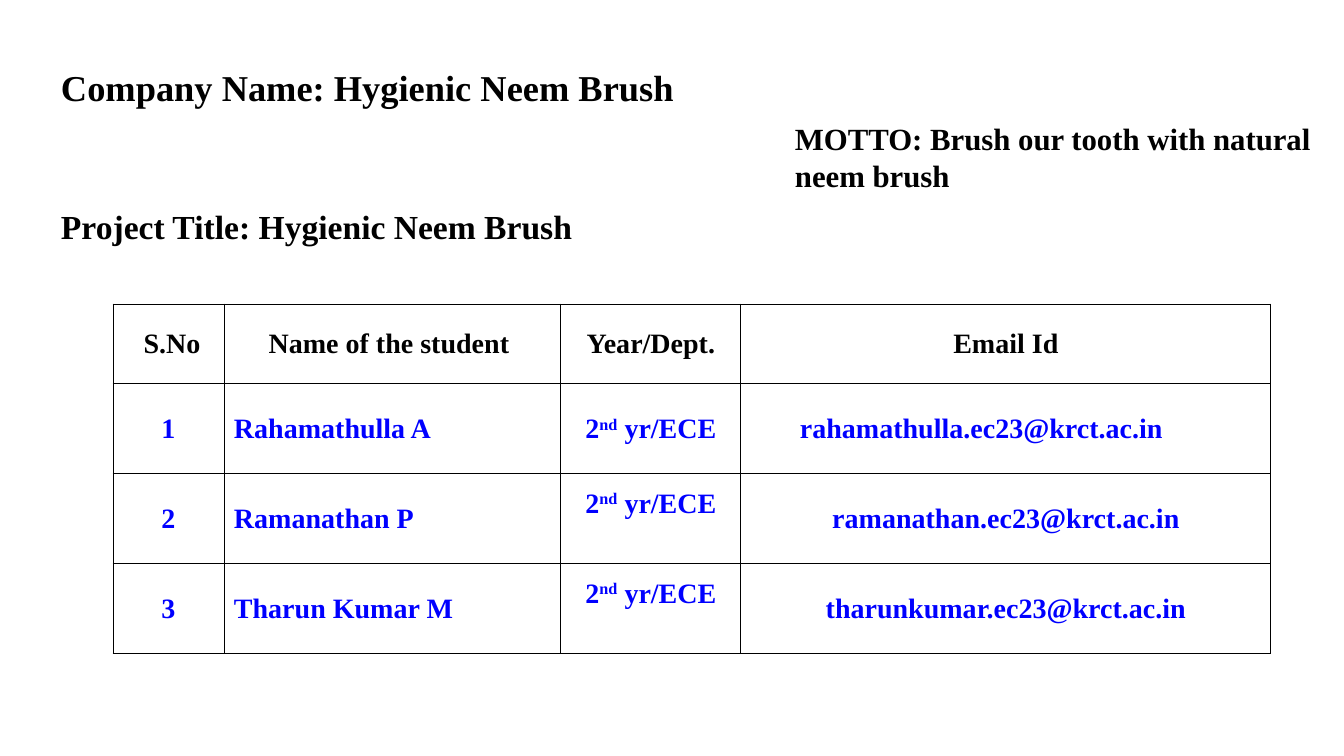
from dataclasses import dataclass

from lxml import etree
from pptx import Presentation
from pptx import util as u
from pptx.dml.color import RGBColor
from pptx.enum import text as t
from pptx.oxml import ns


@dataclass(frozen=True)
class Theme:
    font: str = "Times New Roman"
    ink: str = "000000"
    entry: str = "0000FF"
    company_size: int = 26
    project_size: int = 24
    motto_size: int = 22
    table_size: int = 20
    border_width: float = 0.75
    superscript: int = 30000


@dataclass(frozen=True)
class Margins:
    left: int
    top: int
    right: int
    bottom: int


@dataclass(frozen=True)
class Heading:
    text: str
    left: int
    top: int
    width: int
    height: int
    size: int


@dataclass(frozen=True)
class Entry:
    """One table cell: its text pieces, every second one raised."""
    pieces: tuple[str, ...]
    margins: Margins
    align: t.PP_ALIGN = t.PP_ALIGN.CENTER


@dataclass(frozen=True)
class Student:
    name: str
    email: Entry
    year_margins: Margins


THEME = Theme()
PX_PER_INCH = 100.8
SLIDE_SIZE = (1344, 756)
TIGHT = Margins(1, 1, 1, 0)
ROOMY = Margins(10, 5, 10, 5)
RAISED = Margins(10, 5, 10, 35)
INDENTED = Margins(59, 5, 10, 5)
LEFT = t.PP_ALIGN.LEFT

COMPANY = Heading("Company Name: Hygienic Neem Brush", 51, 60, 690, 99, THEME.company_size)
SUBHEADINGS = (
    Heading("MOTTO: Brush our tooth with natural neem brush", 785, 115, 559, 85, THEME.motto_size),
    Heading("Project Title: Hygienic Neem Brush", 51, 201, 852, 50, THEME.project_size),
)

TABLE_LEFT, TABLE_TOP = 113, 304
COLUMN_WIDTHS = (111, 337, 180, 530)
HEADER_HEIGHT, STUDENT_HEIGHT = 80, 90
HEADER = (
    Entry(("S.No",), Margins(8, 1, 1, 0)),
    Entry(("Name of the student",), Margins(1, 1, 8, 0)),
    Entry(("Year/Dept.",), TIGHT),
    Entry(("Email Id",), TIGHT),
)
STUDENTS = (
    Student("Rahamathulla A", Entry(("rahamathulla.ec23@krct.ac.in",), INDENTED, LEFT), ROOMY),
    Student("Ramanathan P", Entry(("ramanathan.ec23@krct.ac.in",), ROOMY), RAISED),
    Student("Tharun Kumar M", Entry(("tharunkumar.ec23@krct.ac.in",), ROOMY), RAISED),
)


def px(length: int) -> u.Emu:
    return u.Inches(length / PX_PER_INCH)


def style_run(run, size: int, color: str) -> None:
    run.font.name = THEME.font
    run.font.size = u.Pt(size)
    run.font.bold = True
    run.font.color.rgb = RGBColor.from_string(color)


def set_margins(holder, margins: Margins) -> None:
    """Apply margins to a text frame or a table cell."""
    holder.margin_left = px(margins.left)
    holder.margin_top = px(margins.top)
    holder.margin_right = px(margins.right)
    holder.margin_bottom = px(margins.bottom)


def fill_heading(shape, heading: Heading) -> None:
    shape.left, shape.top = px(heading.left), px(heading.top)
    shape.width, shape.height = px(heading.width), px(heading.height)
    frame = shape.text_frame
    frame.text = heading.text
    frame.word_wrap = True
    frame.auto_size = t.MSO_AUTO_SIZE.NONE
    frame.vertical_anchor = t.MSO_ANCHOR.TOP
    set_margins(frame, ROOMY)
    paragraph = frame.paragraphs[0]
    paragraph.alignment = LEFT
    style_run(paragraph.runs[0], heading.size, THEME.ink)


def add_borders(cell) -> None:
    properties = cell._tc.get_or_add_tcPr()
    for side in ("lnL", "lnR", "lnT", "lnB"):
        line = etree.SubElement(properties, ns.qn(f"a:{side}"), w=str(u.Pt(THEME.border_width)))
        fill = etree.SubElement(line, ns.qn("a:solidFill"))
        etree.SubElement(fill, ns.qn("a:srgbClr"), val=THEME.ink)


def fill_cell(cell, entry: Entry, color: str) -> None:
    paragraph = cell.text_frame.paragraphs[0]
    paragraph.alignment = entry.align
    for index, piece in enumerate(entry.pieces):
        run = paragraph.add_run()
        run.text = piece
        style_run(run, THEME.table_size, color)
        if index % 2:
            run._r.get_or_add_rPr().set("baseline", str(THEME.superscript))
    cell.vertical_anchor = t.MSO_ANCHOR.MIDDLE
    set_margins(cell, entry.margins)
    add_borders(cell)
    cell.fill.background()


def student_entries(number: int, student: Student) -> tuple[Entry, ...]:
    return (
        Entry((str(number),), TIGHT),
        Entry((student.name,), ROOMY, LEFT),
        Entry(("2", "nd", " yr/ECE"), student.year_margins),
        student.email,
    )


def add_student_table(slide) -> None:
    rows = [HEADER, *(student_entries(n, s) for n, s in enumerate(STUDENTS, 1))]
    heights = [HEADER_HEIGHT] + [STUDENT_HEIGHT] * len(STUDENTS)
    table = slide.shapes.add_table(
        len(rows), len(COLUMN_WIDTHS), px(TABLE_LEFT), px(TABLE_TOP),
        px(sum(COLUMN_WIDTHS)), px(sum(heights)),
    ).table
    table.first_row = table.horz_banding = False
    for column, width in zip(table.columns, COLUMN_WIDTHS):
        column.width = px(width)
    for row, height, entries in zip(table.rows, heights, rows):
        row.height = px(height)
        color = THEME.ink if entries is HEADER else THEME.entry
        for cell, entry in zip(row.cells, entries):
            fill_cell(cell, entry, color)


def main() -> None:
    deck = Presentation()
    deck.slide_width, deck.slide_height = map(px, SLIDE_SIZE)
    title_only = deck.slide_layouts[5]
    slide = deck.slides.add_slide(title_only)
    add_student_table(slide)
    fill_heading(slide.shapes.title, COMPANY)
    for heading in SUBHEADINGS:
        fill_heading(slide.shapes.add_textbox(0, 0, 0, 0), heading)
    deck.save("out.pptx")


if __name__ == "__main__":
    main()
